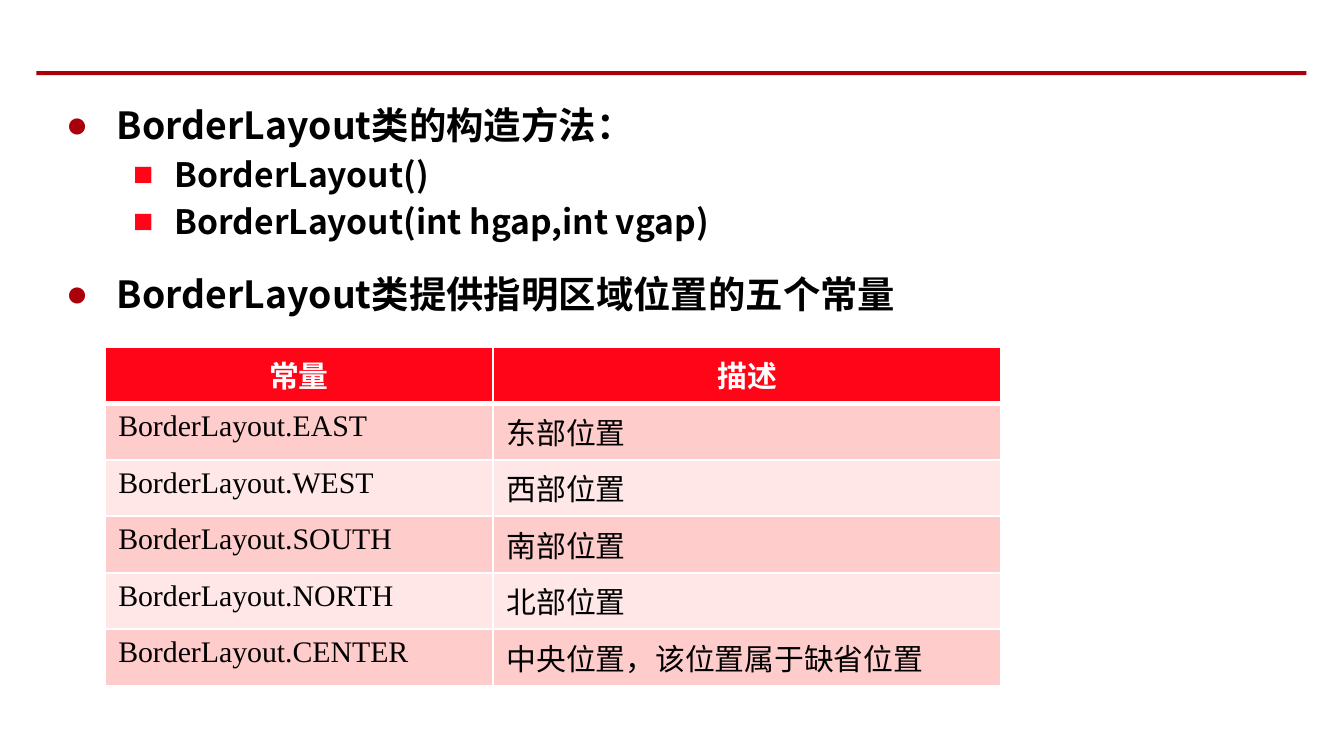
from lxml import etree
from pptx import Presentation
from pptx.dml.color import RGBColor
from pptx.enum.shapes import MSO_SHAPE
from pptx.enum.text import MSO_ANCHOR, MSO_AUTO_SIZE, PP_ALIGN
from pptx.oxml.ns import qn
from pptx.util import Inches, Pt

RECTANGLE = MSO_SHAPE.RECTANGLE
TOP = MSO_ANCHOR.TOP
NO_AUTOFIT = MSO_AUTO_SIZE.NONE
LEFT, CENTER = PP_ALIGN.LEFT, PP_ALIGN.CENTER

DARK_RED = RGBColor(0xAA, 0x00, 0x0B)
RED = RGBColor(0xFF, 0x05, 0x17)
PINK = RGBColor(0xFF, 0xCC, 0xCC)
PALE_PINK = RGBColor(0xFF, 0xE7, 0xE8)
BLACK = RGBColor(0x00, 0x00, 0x00)
WHITE = RGBColor(0xFF, 0xFF, 0xFF)

BODY_FONT = "Noto Sans CJK SC"
TABLE_FONT = "Calibri"
CODE_FONT = "Times New Roman"

BULLETS = [
    (0, "BorderLayout类的构造方法：", 35.6),
    (1, "BorderLayout()", 21.6),
    (1, "BorderLayout(int hgap,int vgap)", 21.6),
    (0, "BorderLayout类提供指明区域位置的五个常量", 36),
]
LEVELS = [
    ("●", DARK_RED, 20, 0.38, 0.38),
    ("■", RED, 18, 0.81, 0.31),
]
CONSTANTS = [
    ("常量", "描述"),
    ("BorderLayout.EAST", "东部位置"),
    ("BorderLayout.WEST", "西部位置"),
    ("BorderLayout.SOUTH", "南部位置"),
    ("BorderLayout.NORTH", "北部位置"),
    ("BorderLayout.CENTER", "中央位置，该位置属于缺省位置"),
]


class SlideBuilder:
    def __init__(self, deck):
        self.page = deck.slides.add_slide(deck.slide_layouts[1])
        title = self.page.shapes.title
        title.element.getparent().remove(title.element)

    def rule(self, left, top, width, height, color):
        bar = self.page.shapes.add_shape(
            RECTANGLE, Inches(left), Inches(top), Inches(width), Inches(height))
        bar.shadow.inherit = False
        bar.fill.solid()
        bar.fill.fore_color.rgb = color
        bar.line.fill.background()

    def span(self, para, text, font, size, color, bold):
        span = para.add_run()
        span.text = text
        span.font.name = font
        span.font.size = Pt(size)
        span.font.color.rgb = color
        span.font.bold = bold
        return span

    def bullet(self, para, symbol, color, indent, hanging):
        properties = para._p.get_or_add_pPr()
        properties.set("marL", str(Inches(indent)))
        properties.set("indent", str(-Inches(hanging)))
        tint = etree.SubElement(properties, qn("a:buClr"))
        etree.SubElement(tint, qn("a:srgbClr"), val=str(color))
        etree.SubElement(properties, qn("a:buFont"), typeface="Arial")
        etree.SubElement(properties, qn("a:buChar"), char=symbol)

    def body(self, left, top, width, height, items):
        box = self.page.placeholders[1]
        box.left, box.top = Inches(left), Inches(top)
        box.width, box.height = Inches(width), Inches(height)
        frame = box.text_frame
        frame.word_wrap = True
        frame.auto_size = NO_AUTOFIT
        frame.vertical_anchor = TOP
        for index, (level, text, spacing) in enumerate(items):
            symbol, color, size, indent, hanging = LEVELS[level]
            para = frame.add_paragraph() if index else frame.paragraphs[0]
            para.level = level
            self.bullet(para, symbol, color, indent, hanging)
            para.alignment = LEFT
            para.line_spacing = Pt(spacing)
            para.space_before = Pt(size * 0.2 if index else 0)
            span = self.span(para, text, BODY_FONT, size, BLACK, True)
            etree.SubElement(span.font._element, qn("a:ea"), typeface=BODY_FONT)

    def borders(self, cell, color, bottom):
        properties = cell._tc.get_or_add_tcPr()
        sides = [("a:lnL", 1), ("a:lnR", 1), ("a:lnT", 1), ("a:lnB", bottom)]
        for position, (side, weight) in enumerate(sides):
            line = etree.Element(qn(side), w=str(Pt(weight)))
            fill = etree.SubElement(line, qn("a:solidFill"))
            etree.SubElement(fill, qn("a:srgbClr"), val=str(color))
            properties.insert(position, line)

    def table(self, left, top, widths, row_height, rows):
        table = self.page.shapes.add_table(
            len(rows), len(widths), Inches(left), Inches(top),
            Inches(sum(widths)), Inches(row_height * len(rows))).table
        for column, width in zip(table.columns, widths):
            column.width = Inches(width)
        for row, texts in enumerate(rows):
            header = row == 0
            table.rows[row].height = Inches(row_height)
            for column, text in enumerate(texts):
                cell = table.cell(row, column)
                cell.fill.solid()
                cell.fill.fore_color.rgb = (
                    RED if header else PINK if row % 2 else PALE_PINK)
                self.borders(cell, WHITE, 3 if header else 1)
                para = cell.text_frame.paragraphs[0]
                para.alignment = CENTER if header else LEFT
                font = TABLE_FONT if header or column else CODE_FONT
                self.span(para, text, font, 16, WHITE if header else BLACK, header)


def main():
    deck = Presentation()
    deck.slide_width = Inches(10)
    deck.slide_height = deck.slide_width * 9 // 16
    slide = SlideBuilder(deck)
    slide.rule(0.27, 0.53, 9.45, 0.03, DARK_RED)
    slide.body(0.39, 0.55, 8.98, 4.61, BULLETS)
    slide.table(0.78, 2.58, [2.89, 3.78], 0.41, CONSTANTS)
    deck.save("out.pptx")


if __name__ == "__main__":
    main()
